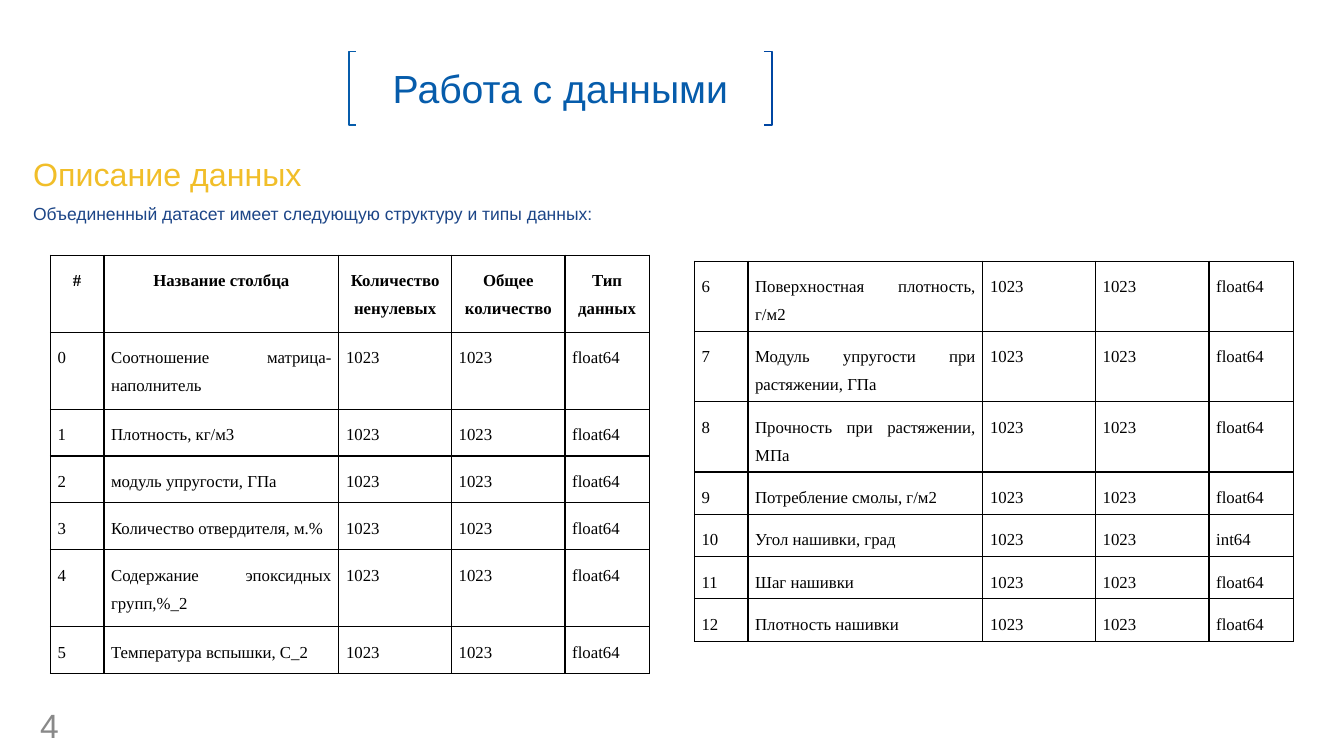
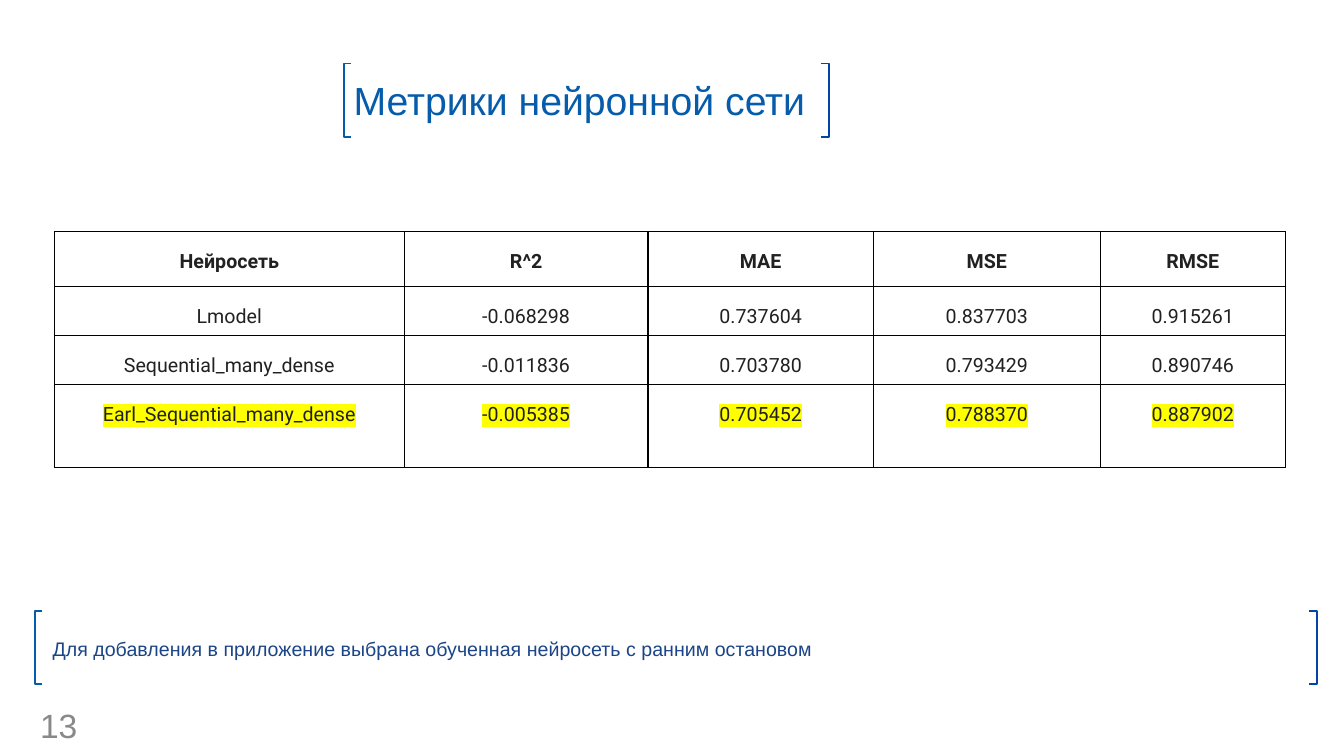
from lxml.etree import SubElement
from pptx import Presentation
from pptx.dml.color import RGBColor
from pptx.enum.text import MSO_ANCHOR as Anchor, MSO_AUTO_SIZE as AutoSize, PP_ALIGN as Align
from pptx.oxml.ns import qn
from pptx.oxml.xmlchemy import OxmlElement as Element
from pptx.util import Cm, Pt

BLUE, DEEP_BLUE, NAVY, GOLD = "065CAB", "0046A2", "1C4587", "F1BE29"
WHITE, BLACK, GREY, INK, YELLOW = "FFFFFF", "000000", "898989", "212121", "FFFF00"

TITLE = dict(name="Arial", size=Pt(28), color=BLUE)
HEADING = dict(name="Arial", size=Pt(23), color=GOLD)
LEAD = dict(name="Arial", size=Pt(12.5), color=NAVY)
CONCLUSION = dict(name="Arial", size=Pt(14), color=NAVY)
NUMBER = dict(name="Arial", size=Pt(24), color=GREY)
DATA_CELL = dict(name="Times New Roman", size=Pt(12), color=BLACK)
METRIC_CELL = dict(name="Roboto", size=Pt(14), color=INK)

DATA_HEADER = ["#", "Название столбца", "Количество ненулевых", "Общее количество", "Тип данных"]
FEATURES = [
    "Соотношение матрица-наполнитель", "Плотность, кг/м3", "модуль упругости, ГПа",
    "Количество отвердителя, м.%", "Содержание эпоксидных групп,%_2",
    "Температура вспышки, С_2", "Поверхностная плотность, г/м2",
    "Модуль упругости при растяжении, ГПа", "Прочность при растяжении, МПа",
    "Потребление смолы, г/м2", "Угол нашивки, град", "Шаг нашивки", "Плотность нашивки",
]
DATA_ROWS = [
    [str(i), name, "1023", "1023", "int64" if name.startswith("Угол") else "float64"]
    for i, name in enumerate(FEATURES)
]
DATA_COLS = [1.35, 5.92, 2.84, 2.86, 2.12]
METRICS = [
    ["Нейросеть", "R^2", "MAE", "MSE", "RMSE"],
    ["Lmodel", "-0.068298", "0.737604", "0.837703", "0.915261"],
    ["Sequential_many_dense", "-0.011836", "0.703780", "0.793429", "0.890746"],
    ["Earl_Sequential_many_dense", "-0.005385", "0.705452", "0.788370", "0.887902"],
]
METRIC_COLS = [8.82, 6.14, 5.68, 5.72, 4.66]


def rgb(value):
    """Turn a hex string into a colour."""
    return RGBColor.from_string(value)


def write(p, text, style, align=Align.LEFT, spacing=1.0, bold=False, mark=None):
    """Fill a paragraph with one formatted run."""
    for key, value in dict(alignment=align, line_spacing=spacing, space_before=Pt(0)).items():
        setattr(p, key, value)
    r = p.add_run()
    r.text = text
    for key, value in dict(style, bold=bold).items():
        if key == "color":
            r.font.color.rgb = rgb(value)
        else:
            setattr(r.font, key, value)
    if mark:
        highlight = Element("a:highlight")
        SubElement(highlight, qn("a:srgbClr"), val=mark)
        r._r.get_or_add_rPr().find(qn("a:solidFill")).addnext(highlight)


def place(sp, box, anchor=Anchor.MIDDLE, wrap=True):
    """Move a text shape to a box and return its text frame."""
    for key, value in zip(("left", "top", "width", "height"), box):
        setattr(sp, key, Cm(value))
    tf = sp.text_frame
    for key, value in dict(word_wrap=wrap, auto_size=AutoSize.NONE, vertical_anchor=anchor).items():
        setattr(tf, key, value)
    return tf


def plain(p):
    """Remove the bullet and indent of a body paragraph."""
    pPr = p._p.get_or_add_pPr()
    pPr.set("marL", "0")
    pPr.set("indent", "0")
    SubElement(pPr, qn("a:buNone"))
    return p


def add_brackets(s, box):
    """Draw a pair of square brackets at the sides of a box."""
    x, y, w, h = box
    for edge, tip, color in ((x, x + 0.18, BLUE), (x + w, x + w - 0.2, DEEP_BLUE)):
        outline = s.shapes.build_freeform(Cm(tip), Cm(y))
        corners = [(edge, y), (edge, y + h), (tip, y + h)]
        outline.add_line_segments([(Cm(a), Cm(b)) for a, b in corners], close=False)
        sp = outline.convert_to_shape()
        sp.shadow.inherit = False
        sp.fill.background()
        sp.line.color.rgb = rgb(color)
        sp.line.width = Pt(1.3)


def add_base(prs, title, number, box, align):
    """Add a slide with its bracketed title and its number."""
    s = prs.slides.add_slide(prs.slide_layouts[1])
    write(place(s.shapes.title, box).paragraphs[0], title, TITLE, align)
    add_brackets(s, box)
    sp = s.shapes.add_textbox(0, 0, 0, 0)
    write(place(sp, (0.76, 17.88, 1.57, 0.76), wrap=False).paragraphs[0], number, NUMBER)
    return s


def set_borders(cell):
    """Give a cell thin black borders on all sides."""
    tcPr = cell._tc.get_or_add_tcPr()
    for side in "LRTB":
        ln = SubElement(tcPr, qn(f"a:ln{side}"), w=str(Pt(1)))
        SubElement(SubElement(ln, qn("a:solidFill")), qn("a:srgbClr"), val=BLACK)


def add_grid(s, x, y, cols, heights, rows, style, align, header=True, marked=None):
    """Add a bordered table whose top left corner is at x, y."""
    table = s.shapes.add_table(
        len(rows), len(cols), Cm(x), Cm(y), Cm(sum(cols)), Cm(sum(heights))).table
    table.first_row = table.horz_banding = False
    for col, width in zip(table.columns, cols):
        col.width = Cm(width)
    for i, (row, height, texts) in enumerate(zip(table.rows, heights, rows)):
        row.height = Cm(height)
        head = header and i == 0
        for cell, text in zip(row.cells, texts):
            set_borders(cell)
            cell.fill.background()
            for side in ("left", "right", "top", "bottom"):
                setattr(cell, f"margin_{side}", Cm(0.18))
            write(cell.text_frame.paragraphs[0], text, style, Align.CENTER if head else align,
                  1.5, head, YELLOW if i == marked else None)


def build_data_slide(prs):
    """Build the slide on the structure of the data set."""
    s = add_base(prs, "Работа с данными", "4", (8.79, 1.3, 10.66, 1.85), Align.CENTER)
    tf = place(s.placeholders[1], (0.58, 3.86, 19.79, 1.68), Anchor.TOP)
    write(plain(tf.paragraphs[0]), "Описание данных", HEADING, spacing=0.9)
    write(plain(tf.add_paragraph()),
          "Объединенный датасет имеет следующую структуру и типы данных:",
          LEAD, Align.JUSTIFY, 1.5)
    tall, low = 1.94, 1.18
    add_grid(s, 1.27, 6.43, DATA_COLS, [tall, tall, low, low, low, tall, low],
             [DATA_HEADER] + DATA_ROWS[:6], DATA_CELL, Align.JUSTIFY)
    add_grid(s, 17.5, 6.58, DATA_COLS, [1.76] * 3 + [1.06] * 4,
             DATA_ROWS[6:], DATA_CELL, Align.JUSTIFY, header=False)


def build_metrics_slide(prs):
    """Build the slide that compares the networks."""
    s = add_base(prs, "Метрики нейронной сети", "13", (8.66, 1.6, 12.24, 1.85), Align.LEFT)
    body = s.placeholders[1]
    body.fill.solid()
    body.fill.fore_color.rgb = rgb(WHITE)
    tf = place(body, (1.07, 15.27, 32.03, 1.85))
    write(plain(tf.paragraphs[0]),
          "Для добавления в приложение выбрана обученная нейросеть с ранним остановом",
          CONCLUSION, spacing=1.5)
    add_brackets(s, (0.89, 15.39, 32.31, 1.85))
    add_grid(s, 1.37, 5.83, METRIC_COLS, [1.39, 1.24, 1.24, 2.09], METRICS,
             METRIC_CELL, Align.CENTER, marked=3)


def main():
    """Build and save the presentation."""
    prs = Presentation()
    prs.slide_width, prs.slide_height = Cm(33.87), Cm(19.05)
    build_data_slide(prs)
    build_metrics_slide(prs)
    prs.save("out.pptx")


if __name__ == "__main__":
    main()
